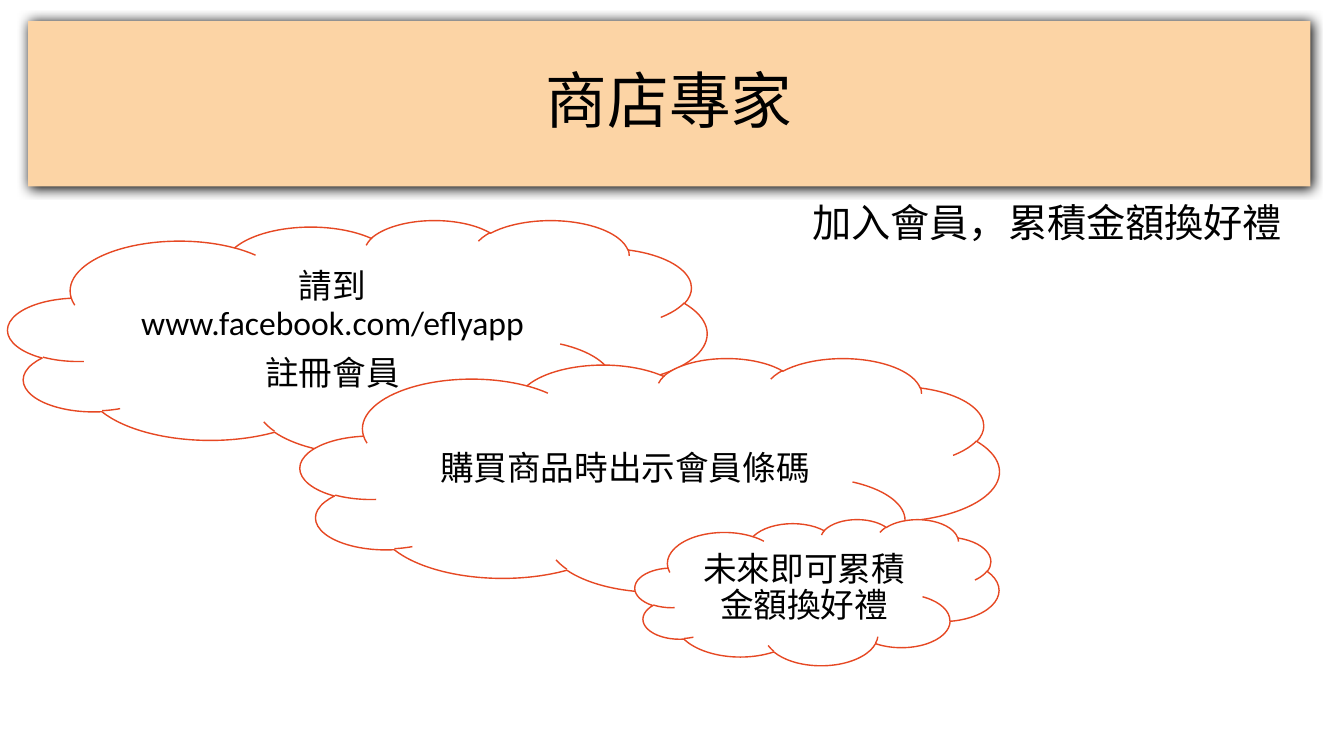
from dataclasses import dataclass

from lxml import etree
from pptx import Presentation
from pptx.dml.color import RGBColor
from pptx.enum.shapes import MSO_SHAPE
from pptx.enum.text import MSO_ANCHOR, PP_ALIGN
from pptx.oxml.ns import qn
from pptx.util import Inches, Pt

CLOUD = MSO_SHAPE.CLOUD
ROUNDED = MSO_SHAPE.ROUNDED_RECTANGLE
TOP, MIDDLE = MSO_ANCHOR.TOP, MSO_ANCHOR.MIDDLE
LEFT, CENTER = PP_ALIGN.LEFT, PP_ALIGN.CENTER

# Slide size and its grid
WIDTH, HEIGHT = Inches(13.33), Inches(7.5)
COLUMNS, ROWS = 40, 24


@dataclass(frozen=True)
class Theme:
    font: str = "Calibri"
    text: RGBColor = RGBColor(0, 0, 0)
    banner: RGBColor = RGBColor(0xFC, 0xD4, 0xA5)
    cloud: RGBColor = RGBColor(0xFF, 0xFF, 0xFF)
    outline: RGBColor = RGBColor(0xE6, 0x48, 0x23)
    title_size: int = 44
    tagline_size: int = 28
    step_size: int = 24


THEME = Theme()


def place(column, row, columns, rows):
    """Turn grid cells into left, top, width and height."""
    across, down = WIDTH / COLUMNS, HEIGHT / ROWS
    return [round(length) for length in
            (column * across, row * down, columns * across, rows * down)]


def write(shape, lines, size, align, anchor):
    frame = shape.text_frame
    frame.word_wrap = True
    frame.vertical_anchor = anchor
    for index, line in enumerate(lines):
        para = frame.add_paragraph() if index else frame.paragraphs[0]
        para.text = line
        para.alignment = align
        para.line_spacing = 0.9
        para.space_before = Pt(10 if index else 0)
        para.font.name = THEME.font
        para.font.size = Pt(size)
        para.font.color.rgb = THEME.text


def add_filled(page, kind, cells, fill):
    shape = page.shapes.add_shape(kind, *place(*cells))
    shape.shadow.inherit = False
    shape.fill.solid()
    shape.fill.fore_color.rgb = fill
    return shape


def add_shadow(shape):
    effects = shape._element.spPr.find(qn("a:effectLst"))
    shadow = etree.SubElement(
        effects, qn("a:outerShdw"), blurRad=str(Pt(8.5)), dist=str(Pt(1)),
        dir=str(90 * 60000), algn="ctr", rotWithShape="0")
    etree.SubElement(shadow, qn("a:srgbClr"), val=str(THEME.text))


def add_banner(page, cells, title):
    banner = add_filled(page, ROUNDED, cells, THEME.banner)
    banner.adjustments[0] = 0
    banner.line.fill.background()
    add_shadow(banner)
    write(banner, [title], THEME.title_size, CENTER, MIDDLE)


def add_tagline(page, cells, line):
    box = page.shapes.add_textbox(*place(*cells))
    write(box, [line], THEME.tagline_size, LEFT, TOP)


def add_cloud(page, cells, lines):
    cloud = add_filled(page, CLOUD, cells, THEME.cloud)
    cloud.line.color.rgb = THEME.outline
    cloud.line.width = Pt(1)
    write(cloud, lines, THEME.step_size, CENTER, MIDDLE)


def main():
    deck = Presentation()
    deck.slide_width, deck.slide_height = WIDTH, HEIGHT
    page = deck.slides.add_slide(deck.slide_layouts[6])

    # Heading
    add_banner(page, (0.84, 0.67, 38.16, 5.25), "商店專家")
    add_tagline(page, (23.88, 6.3, 14.67, 1.7), "加入會員，累積金額換好禮")

    # Membership steps, each overlapping the one before
    large, small = (20.8, 7.42), (10.83, 4.64)
    steps = [
        ((0.24, 6.98), large, ["請到 www.facebook.com/eflyapp", "註冊會員"]),
        ((8.94, 11.36), large, ["購買商品時出示會員條碼"]),
        ((18.9, 16.48), small, ["未來即可累積金額換好禮"]),
    ]
    for corner, size, lines in steps:
        add_cloud(page, corner + size, lines)

    deck.save("out.pptx")


if __name__ == "__main__":
    main()
